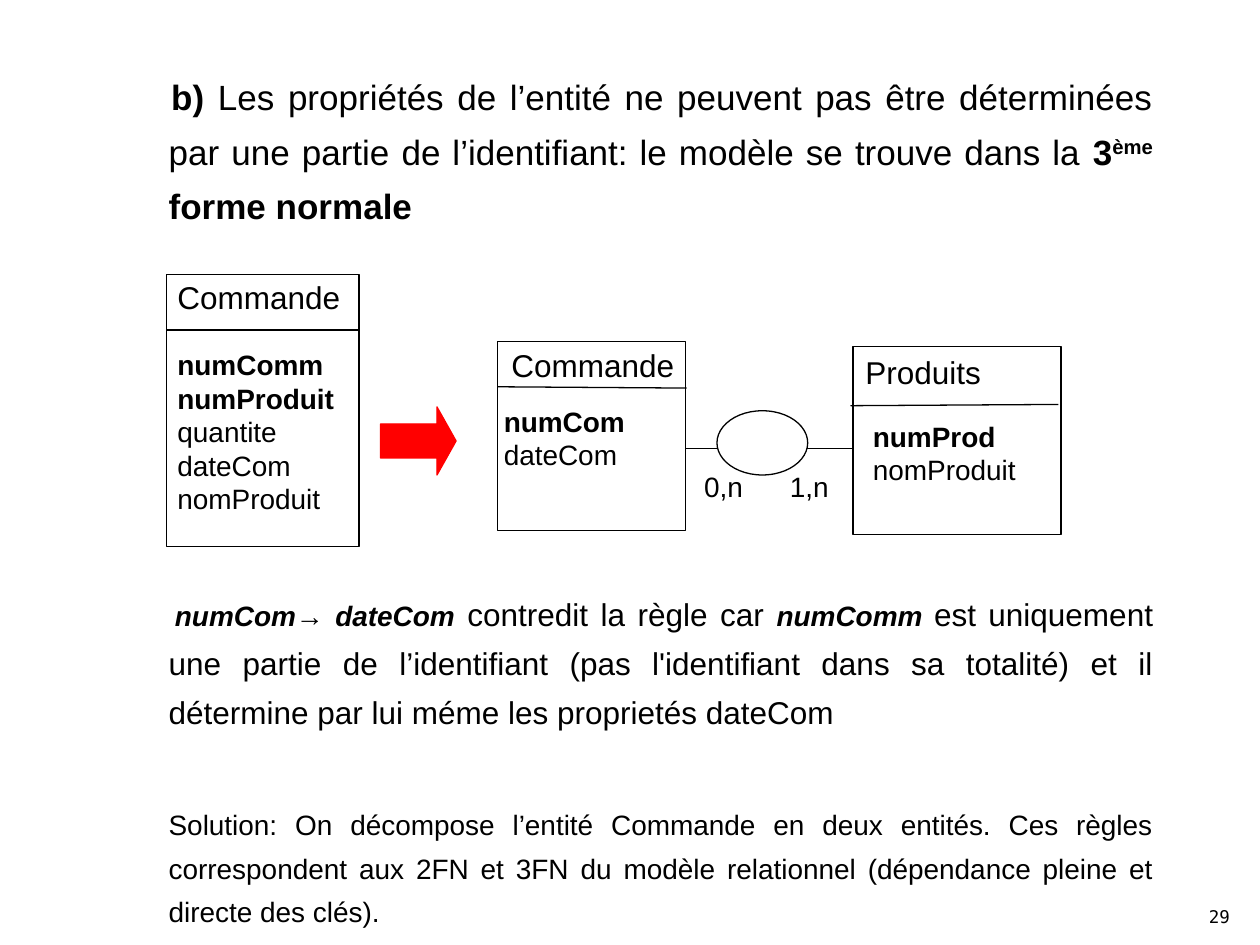
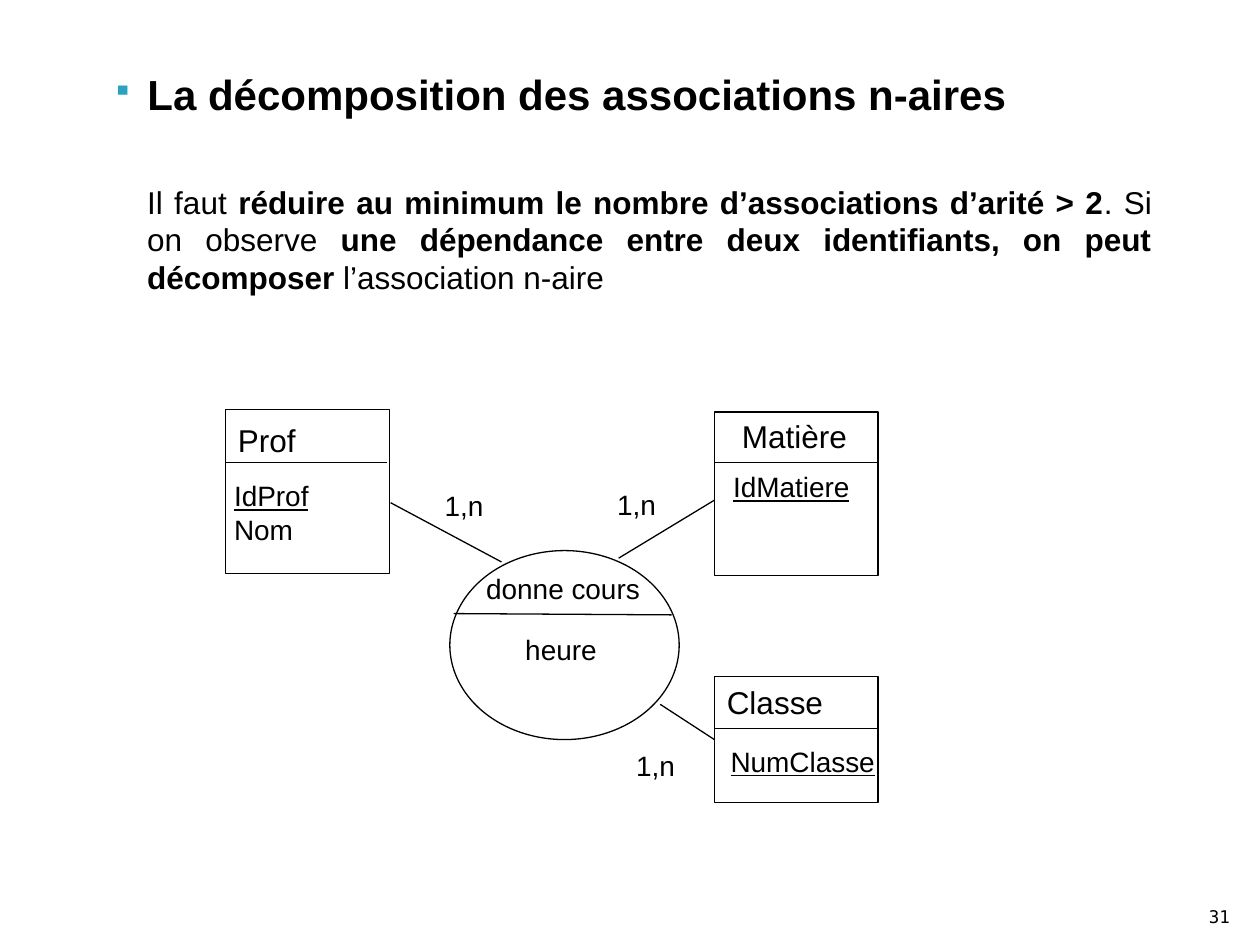
from dataclasses import dataclass

from lxml.etree import SubElement
from pptx import Presentation
from pptx.dml.color import RGBColor
from pptx.enum.shapes import MSO_CONNECTOR, MSO_SHAPE
from pptx.enum.text import MSO_ANCHOR, MSO_AUTO_SIZE, PP_ALIGN
from pptx.oxml.ns import qn
from pptx.util import Inches, Pt


@dataclass(frozen=True)
class Theme:
    font: str = "Arial"
    number_font: str = "DejaVu Sans Mono"
    ink: RGBColor = RGBColor(0, 0, 0)
    paper: RGBColor = RGBColor(255, 255, 255)
    arrow: RGBColor = RGBColor(255, 0, 0)
    bullet: str = "2DA2BF"
    title: int = 24
    lead: int = 20
    body: int = 18
    small: int = 16
    number: int = 10
    line: float = 0.75


class Deck:
    def __init__(self, theme):
        self.theme = theme
        self.prs = Presentation()
        self.prs.slide_width, self.prs.slide_height = Inches(10), Inches(7.5)
        self.s = None

    def new_slide(self, number, title=None):
        self.s = self.prs.slides.add_slide(self.prs.slide_layouts[5 if title else 6])
        if title:
            self.title(title)
        self.text((9.46, 7.01, 0.4, 0.4), [[(number, "")]], self.theme.number,
                  align=PP_ALIGN.RIGHT, anchor=MSO_ANCHOR.BOTTOM, font=self.theme.number_font)

    def title(self, text):
        sp = self.s.shapes.title
        sp.left, sp.top, sp.width, sp.height = map(Inches, (0.67, 0.49, 8.57, 0.6))
        pPr = sp.text_frame.paragraphs[0]._p.get_or_add_pPr()
        pPr.set("marL", str(Inches(0.4)))
        pPr.set("indent", str(Inches(-0.28)))
        color = SubElement(pPr, qn("a:buClr"))
        SubElement(color, qn("a:srgbClr"), val=self.theme.bullet)
        SubElement(pPr, qn("a:buSzPct"), val="68000")
        SubElement(pPr, qn("a:buChar"), char="▪")
        self.fill_text(sp.text_frame, [[(text, "b")]], self.theme.title)

    def fill_text(self, tf, paragraphs, size, align=PP_ALIGN.LEFT,
                  anchor=MSO_ANCHOR.TOP, wrap=True, spacing=1.0, font=None):
        tf.word_wrap = wrap
        tf.auto_size = MSO_AUTO_SIZE.NONE
        tf.vertical_anchor = anchor
        for i, runs in enumerate(paragraphs):
            p = tf.add_paragraph() if i else tf.paragraphs[0]
            p.alignment = align
            p.line_spacing = spacing
            p.space_before = Pt(0)
            for text, style, *run_size in runs:
                r = p.add_run()
                r.text = text
                r.font.name = font or self.theme.font
                r.font.size = Pt(run_size[0] if run_size else size)
                r.font.color.rgb = self.theme.ink
                r.font.bold = "b" in style
                r.font.italic = "i" in style
                r.font.underline = "u" in style
                if "^" in style:
                    r.font._element.set("baseline", "30000")

    def text(self, box, paragraphs, size, **options):
        sp = self.s.shapes.add_textbox(*map(Inches, box))
        self.fill_text(sp.text_frame, paragraphs, size, **options)
        return sp

    def prose(self, box, runs, size, spacing=1.0, indent=0):
        sp = self.text(box, [runs], size, align=PP_ALIGN.JUSTIFY, spacing=spacing)
        pPr = sp.text_frame.paragraphs[0]._p.get_or_add_pPr()
        pPr.set("indent", str(Inches(indent)))

    def label(self, box, text, size=None):
        self.text(box, [[(text, "")]], size or self.theme.small, wrap=False)

    def shape(self, kind, box, fill=None, line=None):
        sp = self.s.shapes.add_shape(kind, *map(Inches, box))
        sp.shadow.inherit = False
        sp.fill.solid()
        sp.fill.fore_color.rgb = fill or self.theme.paper
        sp.line.color.rgb = line or self.theme.ink
        sp.line.width = Pt(self.theme.line)
        return sp

    def line(self, *ends):
        c = self.s.shapes.add_connector(MSO_CONNECTOR.STRAIGHT, *map(Inches, ends))
        c.line.color.rgb = self.theme.ink
        c.line.width = Pt(self.theme.line)
        SubElement(c._element.spPr, qn("a:effectLst"))

    def entity(self, box, divider, name, name_box, attributes, attributes_box):
        self.shape(MSO_SHAPE.RECTANGLE, box)
        self.line(*divider)
        self.label(name_box, name, self.theme.body)
        self.text(attributes_box, [[a] for a in attributes], self.theme.small, wrap=False)

    def red_arrow(self, box):
        sp = self.shape(MSO_SHAPE.RIGHT_ARROW, box, self.theme.arrow, self.theme.arrow)
        sp.adjustments[1] = 0.28


def normal_form_slide(deck):
    t = deck.theme
    deck.new_slide("29")
    deck.prose((1.24, 0.45, 8.01, 1.45), [
        ("b) ", "b"),
        ("Les propriétés de l’entité ne peuvent pas être déterminées par une partie "
         "de l’identifiant: le modèle se trouve dans la ", ""),
        ("3", "b"), ("ème", "b^"), (" forme normale", "b")], t.lead, 1.3, 0.02)

    deck.entity((1.32, 2.18, 1.53, 2.16), (1.32, 2.62, 2.85, 2.62),
                "Commande", (1.31, 2.16, 1.51, 0.4),
                [("numComm", "b"), ("numProduit", "b"), ("quantite", ""),
                 ("dateCom", ""), ("nomProduit", "")], (1.31, 2.71, 1.49, 1.45))
    deck.red_arrow((3.02, 3.23, 0.6, 0.54))
    deck.entity((3.95, 2.71, 1.49, 1.5), (3.95, 3.07, 5.45, 3.08),
                "Commande", (3.96, 2.7, 1.51, 0.4),
                [("numCom", "b"), ("dateCom", "")], (3.9, 3.16, 1.47, 0.64))
    deck.entity((6.77, 2.75, 1.65, 1.49), (6.75, 3.22, 8.4, 3.21),
                "Produits", (6.77, 2.75, 1.65, 0.4),
                [("numProd", "b"), ("nomProduit", "")], (6.83, 3.28, 1.57, 0.64))
    deck.line(5.44, 3.56, 6.76, 3.56)
    deck.shape(MSO_SHAPE.OVAL, (5.69, 3.26, 0.72, 0.51))
    for left, cardinality in ((5.49, "0,n"), (6.17, "1,n")):
        deck.label((left, 3.68, 0.51, 0.37), cardinality)

    deck.prose((1.24, 4.58, 8.01, 1.35), [
        ("numCom→ dateCom", "bi", t.small), (" ", "i"),
        ("contredit la règle car ", ""), ("numComm ", "bi", t.small),
        ("est uniquement une partie de l’identifiant (pas l'identifiant dans sa "
         "totalité) et il détermine par lui méme les proprietés dateCom", "")],
        t.body, 1.3, 0.05)
    deck.prose((1.24, 6.28, 8.01, 1.15), [
        ("Solution: On décompose l’entité Commande en deux entités. Ces règles "
         "correspondent aux 2FN et 3FN du modèle relationnel (dépendance pleine et "
         "directe des clés).", "")], t.small, 1.3)


def decomposition_slide(deck):
    deck.new_slide("31", "La décomposition des associations n-aires")
    deck.prose((1.07, 1.4, 8.17, 1.05), [
        ("Il faut ", ""),
        ("réduire au minimum le nombre d’associations d’arité > 2", "b"),
        (". Si on observe ", ""),
        ("une dépendance entre deux identifiants, on peut décomposer ", "b"),
        ("l’association n-aire", "")], deck.theme.body)

    deck.entity((1.79, 3.25, 1.3, 1.3), (1.79, 3.67, 3.07, 3.67),
                "Prof", (1.79, 3.29, 0.66, 0.4),
                [("IdProf", "u"), ("Nom", "")], (1.76, 3.75, 0.8, 0.64))
    deck.entity((5.67, 3.27, 1.3, 1.3), (5.67, 3.67, 6.97, 3.67),
                "Matière", (5.79, 3.26, 1.04, 0.4),
                [("IdMatiere", "u")], (5.72, 3.68, 1.14, 0.37))
    deck.entity((5.67, 5.37, 1.3, 1), (5.67, 5.78, 6.97, 5.78),
                "Classe", (5.67, 5.37, 1.3, 0.4),
                [("NumClasse", "u")], (5.7, 5.86, 1.36, 0.37))

    deck.shape(MSO_SHAPE.OVAL, (3.57, 4.37, 1.82, 1.5))
    deck.line(3.6, 4.87, 5.33, 4.88)
    deck.label((3.76, 4.49, 1.42, 0.37), "donne cours")
    deck.label((4.07, 4.97, 0.78, 0.37), "heure")

    links = [((3.1, 3.99, 3.98, 4.46), (3.43, 3.83)),
             ((4.91, 4.43, 5.67, 3.97), (4.8, 3.82)),
             ((5.24, 5.59, 5.67, 5.87), (4.95, 5.89))]
    for ends, place in links:
        deck.line(*ends)
        deck.label((*place, 0.51, 0.37), "1,n")


def main():
    deck = Deck(Theme())
    normal_form_slide(deck)
    decomposition_slide(deck)
    deck.prs.save("out.pptx")


if __name__ == "__main__":
    main()
